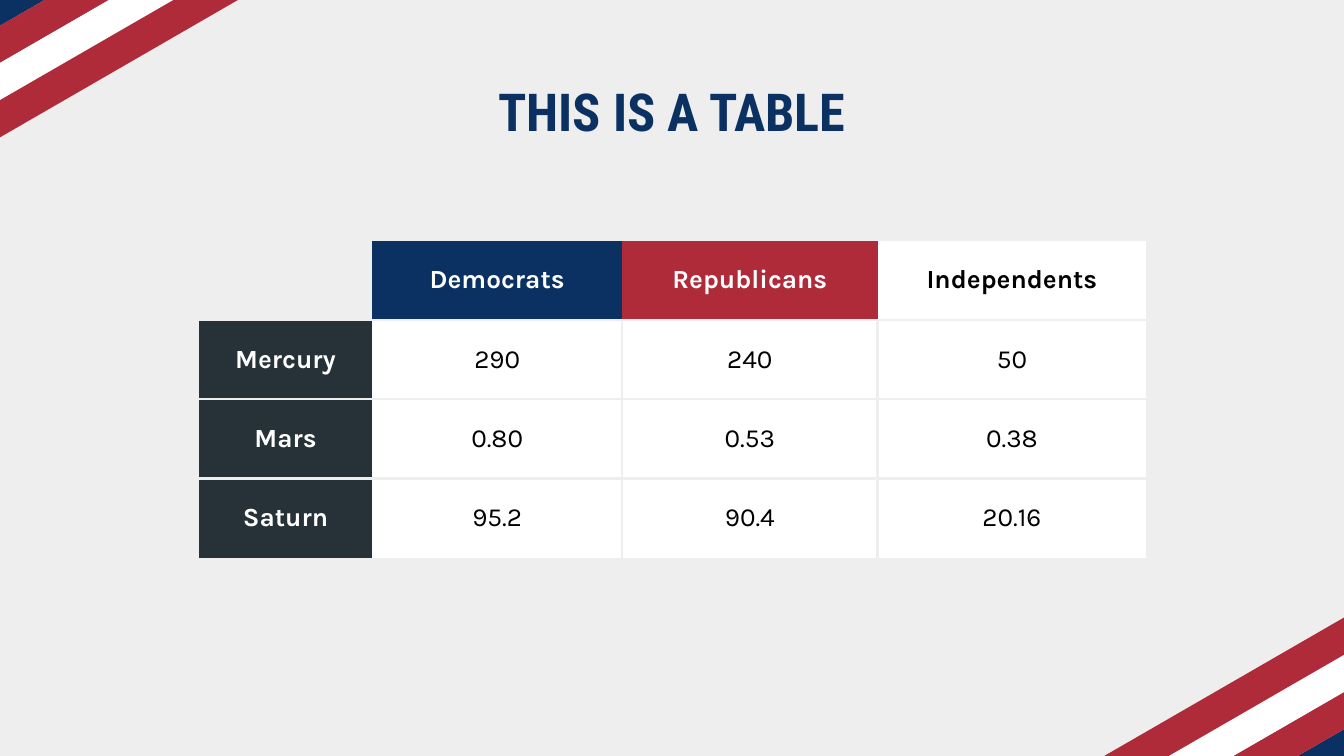
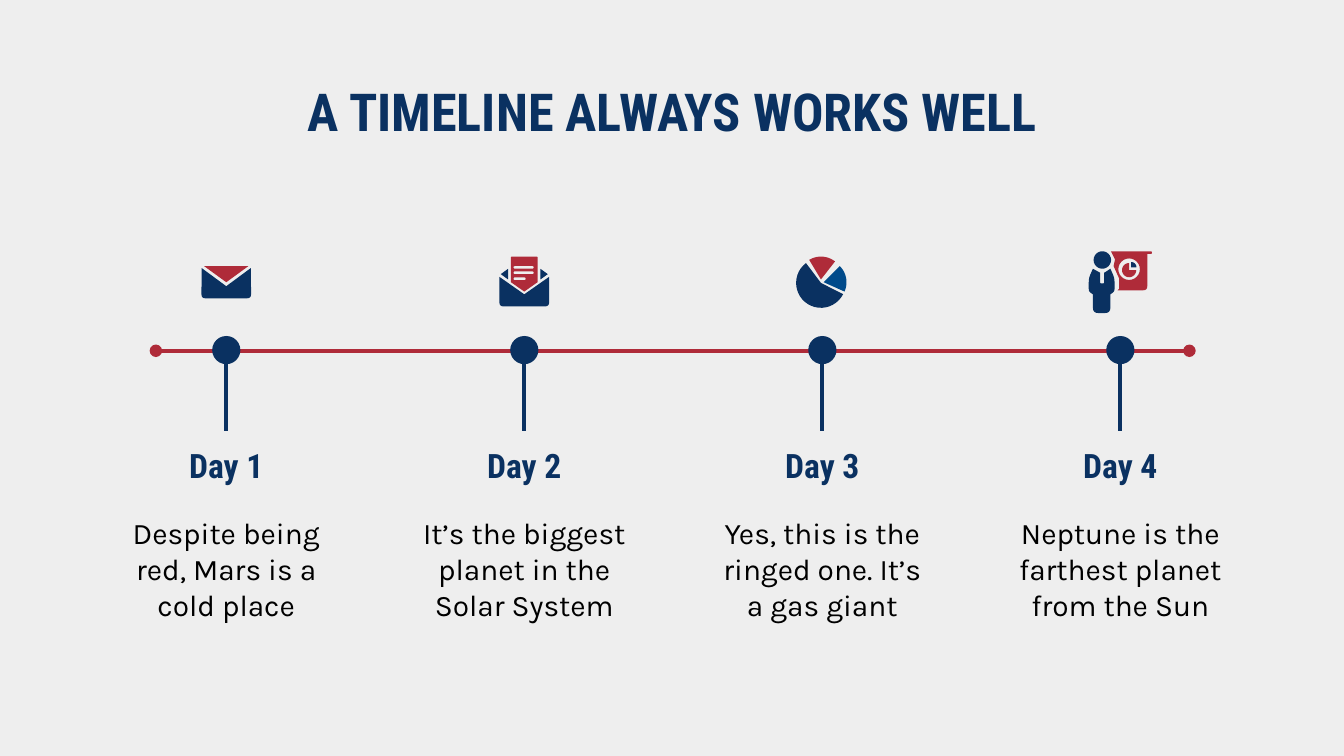
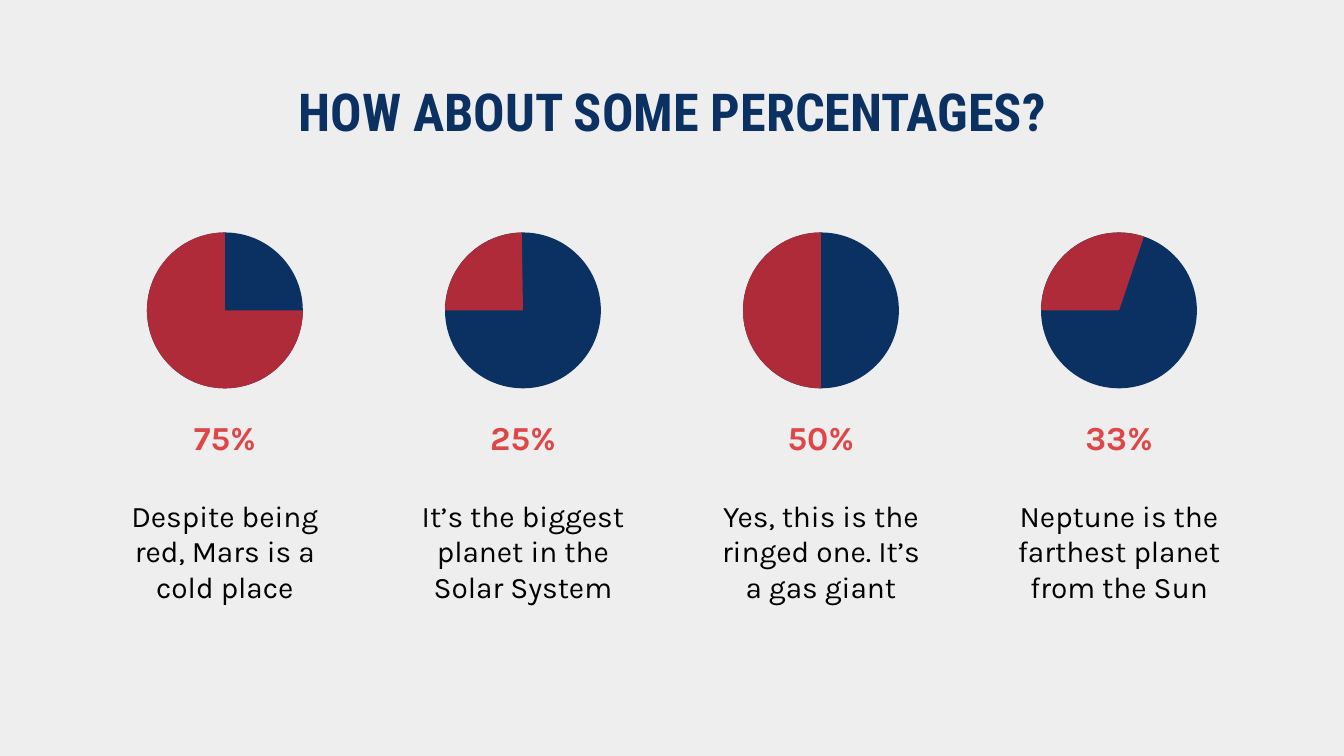
from collections import namedtuple
from math import cos, radians, sin

from lxml.etree import SubElement as Sub
from pptx import Presentation
from pptx.dml.color import RGBColor
from pptx.enum.shapes import MSO_CONNECTOR as Conn, MSO_SHAPE as Shape
from pptx.enum.text import MSO_ANCHOR as Anchor, MSO_AUTO_SIZE as Auto, PP_ALIGN as Align
from pptx.oxml.ns import qn
from pptx.util import Inches, Pt

Box = namedtuple("Box", "x y w h")

WIDE, HIGH = 100, 56.25
UNIT = Inches(10) / WIDE
NAVY, RED, WHITE, BLACK = "0A3161", "AF2B39", "FFFFFF", "000000"
PAPER, SLATE, BLUE, CORAL = "EEEEEE", "263238", "004A8A", "DE4647"
HEAD, BODY = "Roboto Condensed", "Karla"
NO_STYLE = "{2D5ABB26-0587-4C30-8999-92F81FD0307C}"

FACTS = [
    "Despite being red, Mars is a cold place",
    "It’s the biggest planet in the Solar System",
    "Yes, this is the ringed one. It’s a gas giant",
    "Neptune is the farthest planet from the Sun",
]
SHARES = [("75%", 0, 270, 0), ("25%", 0, 89.1, 180), ("50%", 90, 270, 0), ("33%", 0, 108.6, 180)]
VOTES = [
    ["", "Democrats", "Republicans", "Independents"],
    ["Mercury", "290", "240", "50"],
    ["Mars", "0.80", "0.53", "0.38"],
    ["Saturn", "95.2", "90.4", "20.16"],
]


def emu(*units):
    """Turn grid units into slide lengths."""
    return [round(u * UNIT) for u in units]


def color(code):
    """Turn a hex string into a colour."""
    return RGBColor.from_string(code)


def paint(fill, code):
    """Give a fill one solid colour."""
    fill.solid()
    fill.fore_color.rgb = color(code)


def pad(host):
    """Set equal insets on a frame or cell."""
    host.margin_left = host.margin_right = host.margin_top = host.margin_bottom = Inches(0.1)


def write(frame, text, size=16, font=BODY, ink=BLACK, bold=False):
    """Put centred, formatted text in a frame."""
    frame.text = text
    para = frame.paragraphs[0]
    para.alignment = Align.CENTER
    style = para.runs[0].font
    style.size, style.name, style.bold = Pt(size), font, bold
    style.color.rgb = color(ink)


def label(slide, box, text, **form):
    """Add a wrapped text box."""
    frame = slide.shapes.add_textbox(*emu(*box)).text_frame
    frame.word_wrap = True
    pad(frame)
    write(frame, text, **form)


def finish(shape, code):
    """Make a shape flat, with a fill and no line."""
    shape.shadow.inherit = False
    paint(shape.fill, code)
    shape.line.fill.background()
    return shape


def block(slide, kind, box, code, turn=0):
    """Add a flat preset shape."""
    shape = finish(slide.shapes.add_shape(kind, *emu(*box)), code)
    shape.rotation = turn
    return shape


def rule(slide, x, y, right, low, code, ends=()):
    """Draw a line, with round ends where named."""
    line = slide.shapes.add_connector(Conn.STRAIGHT, *emu(x, y, right, low))
    line.line.color.rgb = color(code)
    line.line.width = Pt(2.25)
    for end in ends:
        Sub(line.line._get_or_add_ln(), qn(end), type="oval")
    Sub(line._element.spPr, qn("a:effectLst"))


def split(box, count):
    """Cut a box into equal columns."""
    wide = box.w / count
    return [Box(box.x + i * wide, box.y, wide, box.h) for i in range(count)]


def center(box, row, wide, high):
    """Centre a part across a box at a given row."""
    return Box(box.x + (box.w - wide) / 2, box.y + row, wide, high)


def arc(x, y, size, start=0, stop=360):
    """List points along a clockwise arc."""
    turns = [radians(start + (stop - start) * i / 24) for i in range(25)]
    return [(x + size * cos(a), y + size * sin(a)) for a in turns]


def wedge(x, y, size, start, stop):
    """List the points of a pie slice."""
    return [(x, y), *arc(x, y, size, start, stop)]


def bar(left, top, right, low, bend=1):
    """List the corners of a rounded bar."""
    return [(left, top, bend), (right, top, bend), (right, low, bend), (left, low, bend)]


def toward(spot, goal, gap):
    """Step from one point toward another."""
    dx, dy = goal[0] - spot[0], goal[1] - spot[1]
    part = gap / (dx * dx + dy * dy) ** 0.5
    return spot[0] + dx * part, spot[1] + dy * part


def soften(loop):
    """Round each corner that carries a radius."""
    out = []
    for i, spot in enumerate(loop):
        if len(spot) == 2:
            out.append(spot)
            continue
        a = toward(spot, loop[i - 1], spot[2])
        b = toward(spot, loop[(i + 1) % len(loop)], spot[2])
        for t in (0, 0.25, 0.5, 0.75, 1):
            out.append(tuple(
                (1 - t) ** 2 * a[k] + 2 * t * (1 - t) * spot[k] + t * t * b[k] for k in (0, 1)))
    return out


def outline(slide, x, y, code, loops):
    """Draw closed loops, given in tenths of a unit, as one shape."""
    pen = None
    for loop in loops:
        first, *rest = [(px * 100, py * 100) for px, py in soften(loop)]
        if pen:
            pen.move_to(*first)
        else:
            pen = slide.shapes.build_freeform(*first, scale=UNIT / 1000)
        pen.add_line_segments(rest, close=True)
    finish(pen.convert_to_shape(*emu(x, y)), code)


LETTER = [
    (NAVY, [[(-18.3, 12.5), (0, 26), (18.3, 12.5), (18.5, 35, 3), (-18.5, 35, 3)]]),
    (RED, [[(-16.5, 11), (16.5, 11), (0, 23)]]),
]
OPENED = [
    (NAVY, [[(-18.5, 19), (0, 32), (18.5, 19), (18.5, 41, 3), (-18.5, 41, 3)]]),
    (NAVY, [[(12, 13), (17.5, 17), (12, 21)]]),
    (NAVY, [[(-12, 13), (-17.5, 17), (-12, 21)]]),
    (RED, [[(-10, 4, 1), (10, 4, 1), (10, 23), (0, 30), (-10, 23)],
           bar(-8, 11, 7, 13), bar(-8, 15, 7, 17), bar(-8, 19.5, 1, 21.5)]),
]
SLICES = [
    (NAVY, [wedge(-1, 23.5, 18.5, 27, 233)]),
    (RED, [wedge(-1, 21, 17, 239, 308)]),
    (BLUE, [wedge(1, 23, 17, -45, 24)]),
]
SPEAKER = [
    (NAVY, [arc(-13.4, 6.5, 6.5)]),
    (RED, [wedge(6.5, 14, 5.3, 0, 270)]),
    (NAVY, [wedge(8, 12, 4, 270, 360)]),
    (NAVY, [[(-20.4, 13), (-23.5, 20, 3), (-23.5, 30, 2), (-20.4, 32), (-20.4, 46, 4),
             (-7.4, 46, 4), (-7.4, 32), (-4.3, 30, 2), (-4.3, 20, 3), (-7.4, 13),
             (-12, 16), (-12, 24, 1), (-15, 24, 1), (-15, 16)]]),
    (RED, [[(-7, 0), (23.5, 0, 1), (23.5, 2, 1), (20, 2), (20, 29, 3), (-2, 29),
            (-1, 28), (-1, 20), (-5, 11), (-4, 6)], arc(6.5, 13.3, 8)]),
]
DAYS = [LETTER, OPENED, SLICES, SPEAKER]


def start(deck, text):
    """Add a slide with its title."""
    slide = deck.slides.add_slide(deck.slide_layouts[5])
    title = slide.shapes.title
    title.left, title.top, title.width, title.height = emu(7.9, 4.9, 84.2, 6.3)
    frame = title.text_frame
    frame.auto_size, frame.vertical_anchor = Auto.NONE, Anchor.TOP
    pad(frame)
    write(frame, text, size=28, font=HEAD, ink=NAVY, bold=True)
    return slide


def corner(slide, x, y, turn):
    """Stack slanted bands inward from a corner."""
    dx, dy = -sin(radians(turn)), cos(radians(turn))
    last = 0
    for code, high in ((NAVY, 3.8), (RED, 2.4), (WHITE, 2.4), (RED, 2.4)):
        step = (last + high) / 2 if last else 0
        x, y, last = x + dx * step, y + dy * step, high
        block(slide, Shape.RECTANGLE, (x - 15.6, y - high / 2, 31.2, high), code, turn)


def edge(cell, row, col):
    """Draw the inner borders of a body cell."""
    sides = {"a:lnL": col > 1, "a:lnR": 0 < col < 3, "a:lnT": True, "a:lnB": row < 3}
    for side in [name for name, shown in sides.items() if shown]:
        line = Sub(cell._tc.get_or_add_tcPr(), qn(side), w=str(Pt(1.5)))
        Sub(Sub(line, qn("a:solidFill")), qn("a:srgbClr"), val=PAPER)


def grid(slide, box):
    """Add the table of votes."""
    table = slide.shapes.add_table(4, 4, *emu(*box)).table
    table.first_row = table.horz_banding = False
    table._tbl.tblPr[0].text = NO_STYLE
    for column, wide in zip(table.columns, emu(12.9, 18.6, 19, 20)):
        column.width = wide
    for r, words in enumerate(VOTES):
        for c, text in enumerate(words):
            cell = table.cell(r, c)
            if not text:
                cell.fill.background()
                continue
            if r:
                edge(cell, r, c)
            fill = SLATE if c == 0 else WHITE if r else (NAVY, RED, WHITE)[c - 1]
            paint(cell.fill, fill)
            pad(cell)
            cell.vertical_anchor = Anchor.MIDDLE
            write(cell.text_frame, text, size=14, bold=r == 0 or c == 0,
                  ink=BLACK if fill == WHITE else WHITE)


def day(slide, box, name, icon, fact):
    """Place one stop of the timeline."""
    mid = box.x + box.w / 2
    label(slide, center(box, 13.4, 13, 5.2), name, size=18, font=HEAD, ink=NAVY, bold=True)
    block(slide, Shape.OVAL, center(box, 6.3, 2.1, 2.1), NAVY)
    rule(slide, mid, box.y + 8.4, mid, box.y + 13.4, NAVY)
    label(slide, center(box, 18.6, 18, 10), fact)
    for code, loops in icon:
        outline(slide, mid, box.y, code, loops)


def share(slide, box, text, first, last, turn, fact):
    """Place one pie with its percentage and fact."""
    spot = center(box, 0, 11.6, 11.6)
    block(slide, Shape.OVAL, spot, NAVY)
    pie = block(slide, Shape.PIE, spot, RED, turn)
    pie.adjustments[0], pie.adjustments[1] = first * 0.6, last * 0.6
    label(slide, center(box, 12.7, 15.4, 5.1), text, size=18, ink=CORAL, bold=True)
    label(slide, center(box, 18.7, 18, 10), fact)


def votes(deck):
    """Build the table slide."""
    slide = start(deck, "THIS IS A TABLE")
    grid(slide, Box(14.8, 17.9, 70.5, 23.6))
    corner(slide, 3.5, -2.3, 330)
    corner(slide, 99.4, 56.8, 150)


def timeline(deck):
    """Build the timeline slide."""
    slide = start(deck, "A TIMELINE ALWAYS WORKS WELL")
    rule(slide, 11.6, 26.1, 88.5, 26.1, RED, ends=("a:headEnd", "a:tailEnd"))
    columns = split(Box(5.75, 18.7, 88.7, 28.6), 4)
    for i, (box, icon, fact) in enumerate(zip(columns, DAYS, FACTS), 1):
        day(slide, box, f"Day {i}", icon, fact)


def shares(deck):
    """Build the percentages slide."""
    slide = start(deck, "HOW ABOUT SOME PERCENTAGES?")
    columns = split(Box(5.65, 17.3, 88.7, 28.7), 4)
    for box, part, fact in zip(columns, SHARES, FACTS):
        share(slide, box, *part, fact)


def main():
    """Build and save the deck."""
    deck = Presentation()
    deck.slide_width, deck.slide_height = emu(WIDE, HIGH)
    paint(deck.slide_master.background.fill, PAPER)
    for build in (votes, timeline, shares):
        build(deck)
    deck.save("out.pptx")


if __name__ == "__main__":
    main()
